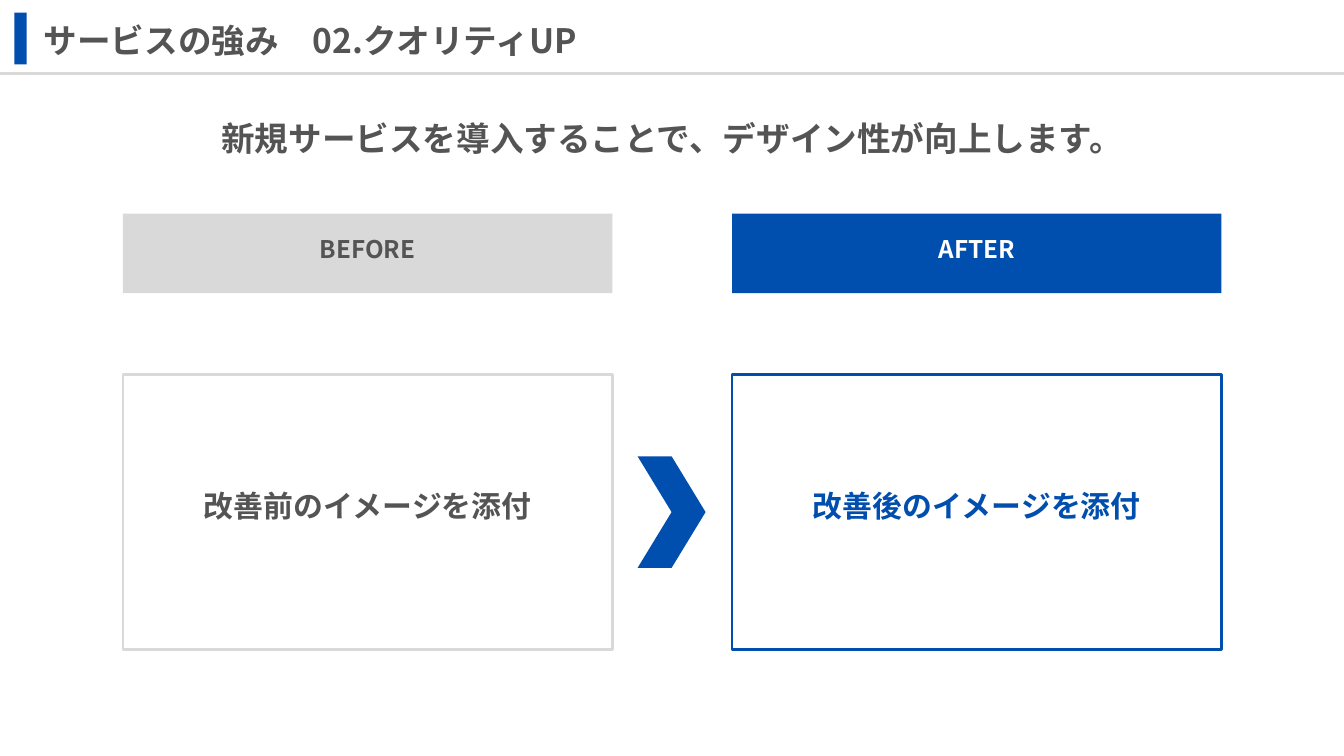
"""Build a before/after slide on the quality strength of a service."""
from lxml import etree
from pptx import Presentation
from pptx.dml.color import RGBColor
from pptx.enum.shapes import MSO_CONNECTOR, MSO_SHAPE
from pptx.enum.text import MSO_ANCHOR, MSO_AUTO_SIZE, PP_ALIGN
from pptx.oxml.ns import qn
from pptx.util import Cm, Pt

RECTANGLE, CHEVRON = MSO_SHAPE.RECTANGLE, MSO_SHAPE.CHEVRON
STRAIGHT = MSO_CONNECTOR.STRAIGHT
TOP, MIDDLE = MSO_ANCHOR.TOP, MSO_ANCHOR.MIDDLE
LEFT, CENTER = PP_ALIGN.LEFT, PP_ALIGN.CENTER
NO_AUTOFIT = MSO_AUTO_SIZE.NONE

BLUE = RGBColor(0x00, 0x4E, 0xAE)
GRAY = RGBColor(0xD9, 0xD9, 0xD9)
DARK = RGBColor(0x54, 0x54, 0x54)
WHITE = RGBColor(0xFF, 0xFF, 0xFF)
FONT = "Noto Sans CJK JP"
LINE_RATIO = 1.4


def write_text(shape, text, size, color, alignment, anchor=TOP, margin=0, bottom=0):
    frame = shape.text_frame
    frame.word_wrap = True
    frame.auto_size = NO_AUTOFIT
    frame.vertical_anchor = anchor
    frame.margin_left = frame.margin_right = frame.margin_top = Cm(margin)
    frame.margin_bottom = Cm(bottom)
    paragraph = frame.paragraphs[0]
    paragraph.alignment = alignment
    paragraph.line_spacing = Pt(size * LINE_RATIO)
    paragraph.space_before = Pt(0)
    run = paragraph.add_run()
    run.text = text
    run.font.name = FONT
    run.font.size = Pt(size)
    run.font.bold = True
    run.font.color.rgb = color
    east_asian = etree.SubElement(run.font._element, qn("a:ea"))
    east_asian.set("typeface", FONT)


def add_filled(kind, left, top, width, height, fill, outline=None):
    shape = slide.shapes.add_shape(kind, Cm(left), Cm(top), Cm(width), Cm(height))
    shape.shadow.inherit = False
    shape.fill.solid()
    shape.fill.fore_color.rgb = fill
    if outline is None:
        shape.line.fill.background()
    else:
        shape.line.color.rgb = outline
        shape.line.width = Pt(3)
    return shape


presentation = Presentation()
presentation.slide_width = Cm(50.8)
presentation.slide_height = Cm(28.58)
slide = presentation.slides.add_slide(presentation.slide_layouts[5])

title = slide.shapes.title
title.left, title.top, title.width, title.height = Cm(1.65), Cm(0.48), Cm(46.3), Cm(1.73)
write_text(title, "サービスの強み　02.クオリティUP", 36, DARK, LEFT)
add_filled(RECTANGLE, 0.54, 0.48, 0.47, 1.96, BLUE)

divider = slide.shapes.add_connector(STRAIGHT, 0, Cm(2.79), presentation.slide_width, Cm(2.79))
divider.line.color.rgb = GRAY
divider.line.width = Pt(3)
etree.SubElement(divider._element.spPr, qn("a:effectLst"))

message = slide.shapes.add_textbox(Cm(1.65), Cm(4.22), Cm(47.5), Cm(3.5))
write_text(message, "新規サービスを導入することで、デザイン性が向上します。", 36, DARK, CENTER)

columns = [
    (4.65, "BEFORE", "改善前のイメージを添付", GRAY, DARK, DARK),
    (27.67, "AFTER", "改善後のイメージを添付", BLUE, WHITE, BLUE),
]
for left, heading, caption, accent, heading_color, caption_color in columns:
    header = add_filled(RECTANGLE, left, 8.08, 18.5, 3, accent)
    write_text(header, heading, 26, heading_color, CENTER, MIDDLE, 0.15, 0.68)
    panel = add_filled(RECTANGLE, left, 14.15, 18.5, 10.4, WHITE, accent)
    write_text(panel, caption, 32, caption_color, CENTER, MIDDLE, 0.15, 0.86)

add_filled(CHEVRON, 24.1, 17.25, 2.57, 4.22, BLUE)

presentation.save("out.pptx")
